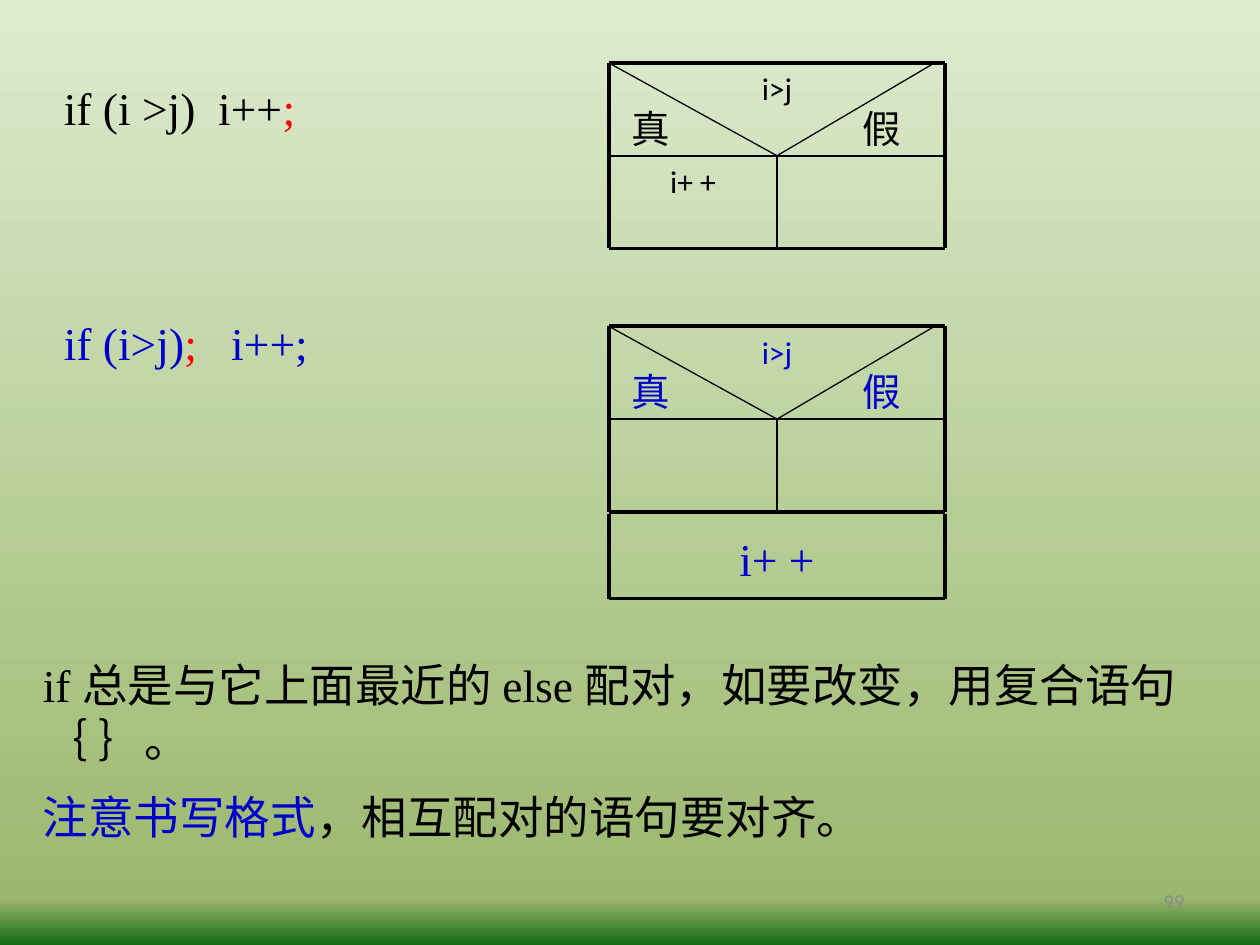
"""Build the slide on if statements, their N-S charts and else matching."""
from copy import deepcopy
from dataclasses import dataclass

from lxml import etree
from pptx import Presentation
from pptx.dml.color import RGBColor
from pptx.enum import shapes, text
from pptx.oxml.ns import qn
from pptx.util import Pt

COLOURS = {
    "black": "000000", "red": "FF0000", "blue": "0000CC", "grey": "8C8C8C",
    "sky": "DDEBCF", "meadow": "9CB86E", "ground": "156B13",
}
SERIF, SANS = "Times New Roman", "Calibri"
LEFT, MIDDLE, RIGHT = 348, 444, 540
THICK, MEDIUM, THIN = 2.25, 1, 0.75
INSETS = (6.5, 3.6)


@dataclass(frozen=True)
class Run:
    words: str
    colour: str = "black"


@dataclass(frozen=True)
class Label:
    box: tuple[float, float, float, float]
    paragraphs: list[list[Run]]
    size: float = 26
    font: str = SERIF
    align: text.PP_ALIGN = text.PP_ALIGN.CENTER
    insets: tuple[float, float] = INSETS
    gap: float = 0
    anchor: text.MSO_ANCHOR = text.MSO_ANCHOR.TOP


@dataclass(frozen=True)
class Segment:
    start: tuple[float, float]
    end: tuple[float, float]
    weight: float


@dataclass(frozen=True)
class Chart:
    top: float
    colour: str


def rgb(name: str) -> RGBColor:
    """Return the named colour."""
    return RGBColor.from_string(COLOURS[name])


def paint_background(slide) -> None:
    """Fill the background with a three-stop vertical gradient."""
    fill = slide.background.fill
    fill.gradient()
    fill.gradient_angle = 270
    last = list(slide.element.iter(qn("a:gs")))[-1]
    last.addnext(deepcopy(last))
    stops = (("sky", 0), ("meadow", 0.95), ("ground", 1))
    for stop, (colour, position) in zip(fill.gradient_stops, stops):
        stop.color.rgb = rgb(colour)
        stop.position = position


def draw_label(slide, label: Label) -> None:
    """Place one text box with its coloured runs."""
    frame = slide.shapes.add_textbox(*map(Pt, label.box)).text_frame
    across, down = map(Pt, label.insets)
    frame_format = {
        "word_wrap": True, "vertical_anchor": label.anchor,
        "margin_left": across, "margin_right": across,
        "margin_top": down, "margin_bottom": down,
    }
    for attribute, value in frame_format.items():
        setattr(frame, attribute, value)
    for index, runs in enumerate(label.paragraphs):
        paragraph = frame.add_paragraph() if index else frame.paragraphs[0]
        paragraph.alignment = label.align
        if index:
            paragraph.space_before = Pt(label.gap)
        for run in runs:
            piece = paragraph.add_run()
            piece.text = run.words
            for attribute, value in {"size": Pt(label.size), "name": label.font}.items():
                setattr(piece.font, attribute, value)
            piece.font.color.rgb = rgb(run.colour)


def draw_segment(slide, segment: Segment) -> None:
    """Draw one straight black line without a shadow."""
    ends = map(Pt, (*segment.start, *segment.end))
    connector = slide.shapes.add_connector(shapes.MSO_CONNECTOR.STRAIGHT, *ends)
    connector.line.color.rgb = rgb("black")
    connector.line.width = Pt(segment.weight)
    etree.SubElement(connector.element.spPr, qn("a:effectLst"))


def draw_chart(slide, chart: Chart) -> None:
    """Draw an N-S selection chart with its condition and branch labels."""
    top, centre, bottom = chart.top, chart.top + 53, chart.top + 106
    condition = [[Run("i>j", chart.colour)]]
    draw_label(slide, Label((LEFT, top, RIGHT - LEFT, 53), condition, 18, SANS))
    for segment in (
        Segment((LEFT, top), (RIGHT, top), THICK),
        Segment((LEFT, centre), (RIGHT, centre), MEDIUM),
        Segment((LEFT, bottom), (RIGHT, bottom), THICK),
        Segment((LEFT, top), (LEFT, bottom), THICK),
        Segment((RIGHT, top), (RIGHT, bottom), THICK),
        Segment((MIDDLE, centre), (MIDDLE, bottom), MEDIUM),
        Segment((LEFT, top), (MIDDLE, centre), THIN),
        Segment((MIDDLE, centre), (RIGHT - 6, top), THIN),
    ):
        draw_segment(slide, segment)
    for branch, left in (("真", 354), ("假", 486)):
        box = (left, top + 24, 36, 27)
        draw_label(slide, Label(box, [[Run(branch, chart.colour)]], 22, insets=(0, 0)))


def main() -> None:
    """Assemble and save the slide."""
    deck = Presentation()
    deck.slide_width, deck.slide_height = Pt(720), Pt(540)
    slide = deck.slides.add_slide(deck.slide_layouts[6])
    paint_background(slide)

    for chart in (Chart(36, "black"), Chart(186.5, "blue")):
        draw_chart(slide, chart)
    floor = 342
    for segment in (
        Segment((LEFT, 294), (LEFT, floor), THICK),
        Segment((RIGHT, 294), (RIGHT, floor), THICK),
        Segment((LEFT, floor), (RIGHT, floor), THICK),
    ):
        draw_segment(slide, segment)

    statements = [
        [Run("if (i >j)  i++"), Run(";", "red")],
        [Run("if (i>j)", "blue"), Run(";", "red"), Run("   i++;", "blue")],
    ]
    rules = [
        [Run("if 总是与它上面最近的 else 配对，如要改变，用复合语句｛ ｝。")],
        [Run("注意书写格式", "blue"), Run("，相互配对的语句要对齐。")],
    ]
    left_align = text.PP_ALIGN.LEFT
    for label in (
        Label((30, 42, 228, 178), statements, align=left_align, gap=103),
        Label((LEFT, 89, 96, 53), [[Run("i+ +")]], 18, SANS),
        Label((384, 300, 120, 38), [[Run("i+ +", "blue")]]),
        Label((18, 372, 702, 117), rules, align=left_align, gap=13),
        Label((516, 500.5, 168, 29), [[Run("99", "grey")]], 12, SANS,
              text.PP_ALIGN.RIGHT, (7.2, 3.6), anchor=text.MSO_ANCHOR.MIDDLE),
    ):
        draw_label(slide, label)
    deck.save("out.pptx")


if __name__ == "__main__":
    main()
